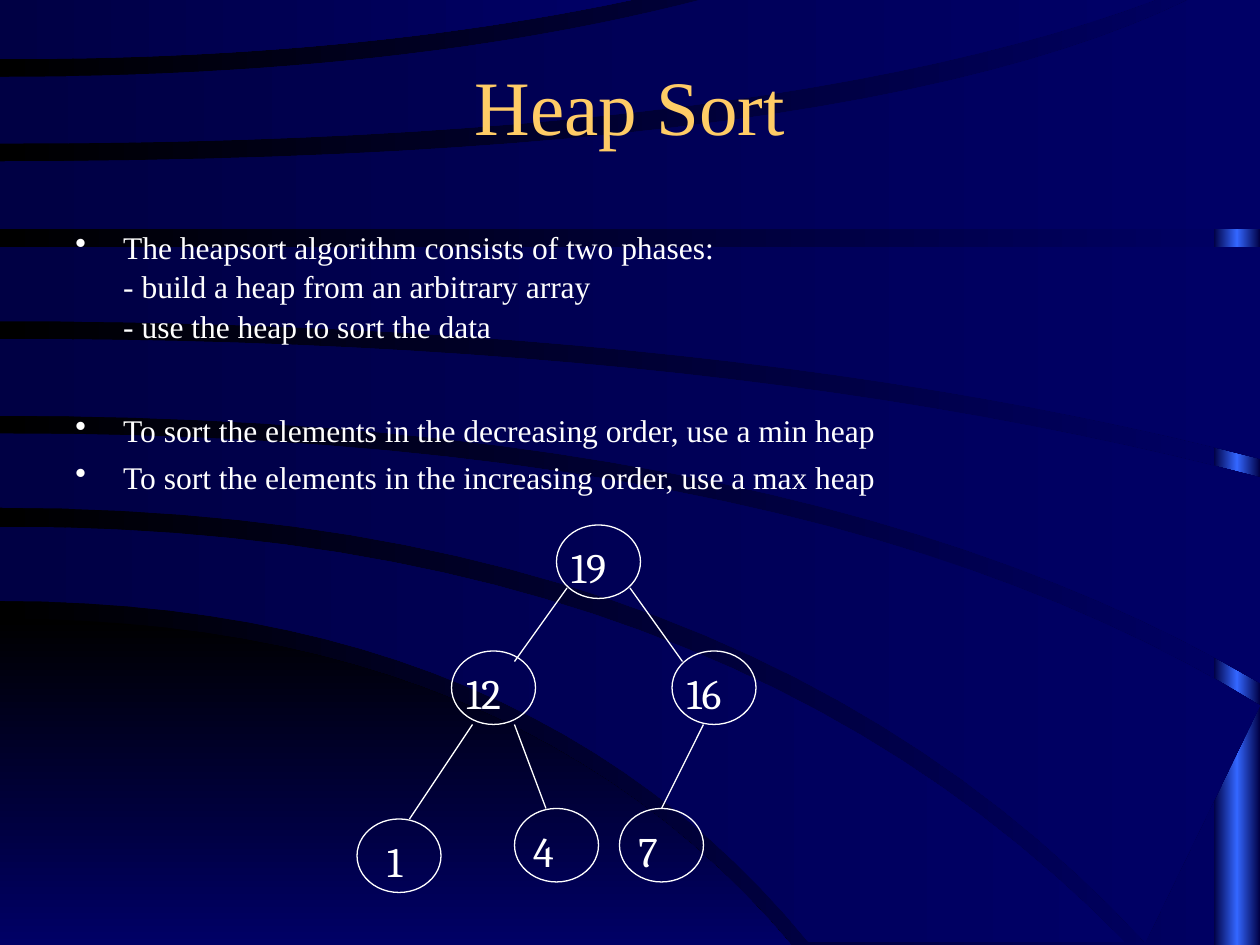
from collections import namedtuple
from copy import deepcopy

from lxml.etree import SubElement
from pptx import Presentation
from pptx.dml.color import RGBColor as Rgb
from pptx.enum.shapes import MSO_CONNECTOR as Line, MSO_SHAPE as Preset
from pptx.enum.text import MSO_ANCHOR as Anchor, PP_ALIGN as Align
from pptx.oxml.ns import qn
from pptx.util import Emu, Inches, Pt

CELL = Inches(1) // 12
Box = namedtuple("Box", "col row cols rows")
Edge = namedtuple("Edge", "start pull end_x end_y")
PAGE = Box(0, 0, 120, 90)
ARC_COLS, ARC_ROWS = 100, 75

COLORS = {"black": "000000", "navy": "000066", "dusk": "000044",
          "glow": "3366FF", "gold": "FFCC66", "white": "FFFFFF"}
TITLE = {"size": Pt(44), "name": "Times New Roman", "color": "gold"}
BODY = {"size": Pt(18), "name": "Times New Roman", "color": "white"}
LABEL = {"size": Pt(24), "name": "Cambria", "color": "white"}

DOME = Edge(49.1, 41, 62.8, 75), Edge(75, 31, 62.8, 75)
BANDS = [
    (Edge(41.8, 57, 89.3, 74.8), Edge(47.7, 42, 64.2, 74.8)),
    (Edge(34.4, 65, 100, 56), Edge(40.3, 59, 90.9, 74.8)),
    (Edge(26.9, 58, 100, 37.9), Edge(33, 64, 100, 54.2)),
    (Edge(19.6, 50, 100, 19.6), Edge(25.5, 58, 100, 36.4)),
    (Edge(12.8, 68, 94.3, 0), Edge(18.2, 50, 100, 18.2)),
    (Edge(6.1, 32, 55.6, 0), Edge(11.4, 61, 91.7, 0)),
    (Edge(0, 25, 50.1, 0), Edge(4.7, 28, 50.1, 0)),
]

POINTS = [
    ("The heapsort algorithm consists of two phases:\v"
     "- build a heap from an arbitrary array\v- use the heap to sort the data", 0),
    ("To sort the elements in the decreasing order, use a min heap", 37),
    ("To sort the elements in the increasing order, use a max heap", 4.5),
]
NODES = [("19", 19, 0, 0.2), ("12", 9, 12, 0.2), ("16", 30, 12, 0.2),
         ("4", 15, 27, 0.6), ("1", 0, 28, 1.7), ("7", 25, 27, 0.6)]
BRANCHES = [((20, 6), (15, 13)), ((11, 19), (5, 28)), ((15, 19), (18, 27)),
            ((26, 6), (31, 13)), ((33, 19), (29, 27))]


def rgb(name):
    """Look up a palette colour."""
    return Rgb.from_string(COLORS[name])


def emu(*cells):
    """Turn grid cells into slide lengths."""
    return [Emu(round(cell * CELL)) for cell in cells]


def shade(fill, names, angle=0):
    """Fill with evenly spaced gradient stops."""
    fill.gradient()
    fill.gradient_angle = angle
    first = fill.gradient_stops[0]._gs
    for _ in names[2:]:
        first.addnext(deepcopy(first))
    for index, (stop, name) in enumerate(zip(fill.gradient_stops, names)):
        stop.color.rgb = rgb(name)
        stop.position = index / (len(names) - 1)


def sweep(edge, steps=24):
    """List the points of a curve that leaves the left side level."""
    shares = [step / steps for step in range(steps + 1)]
    return [(2 * edge.pull * t * (1 - t) + edge.end_x * t ** 2,
             edge.start + (edge.end_y - edge.start) * t ** 2) for t in shares]


def draw_arc(slide, box, edges, names, angle=0):
    """Draw the area between an upper and a lower edge."""
    upper, lower = edges
    corner = max(upper.end_x, lower.end_x), min(upper.end_y, lower.end_y)
    outline = [emu(box.col + x * box.cols / ARC_COLS, box.row + y * box.rows / ARC_ROWS)
               for x, y in [*sweep(upper), corner, *reversed(sweep(lower))]]
    builder = slide.shapes.build_freeform(*outline[0])
    builder.add_line_segments(outline[1:])
    arc = builder.convert_to_shape()
    arc.shadow.inherit = False
    arc.line.fill.background()
    shade(arc.fill, names, angle)


def draw_backdrop(slide, box):
    """Paint the background, the glowing edge and the sweeping bands."""
    shade(slide.background.fill, ["black", "navy"])
    strip = 4.4
    edge = slide.shapes.add_shape(
        Preset.RECTANGLE, *emu(box.col + box.cols - strip, box.row, strip, box.rows))
    edge.shadow.inherit = False
    edge.line.fill.background()
    shade(edge.fill, ["dusk", "glow", "dusk"])
    draw_arc(slide, box, DOME, ["black", "navy"], 270)
    for band in BANDS:
        draw_arc(slide, box, band, ["dusk", "navy"])


def add_text(slide, box, texts, style, frame_format, paragraph_format):
    """Place a text box and return its paragraphs."""
    frame = slide.shapes.add_textbox(*emu(*box)).text_frame
    for key, value in frame_format.items():
        setattr(frame, key, value)
    frame.text = "\n".join(texts)
    for paragraph in frame.paragraphs:
        for key, value in paragraph_format.items():
            setattr(paragraph, key, value)
        for run in paragraph.runs:
            run.font.color.rgb = rgb(style["color"])
            for key in ("size", "name"):
                setattr(run.font, key, style[key])
    return frame.paragraphs


def draw_title(slide, box):
    """Place the centred heading."""
    add_text(slide, box, ["Heap Sort"], TITLE,
             {"word_wrap": True, "vertical_anchor": Anchor.MIDDLE},
             {"alignment": Align.CENTER})


def draw_points(slide, box):
    """Place the bulleted explanation."""
    paragraphs = add_text(slide, box, [text for text, _ in POINTS], BODY,
                          {"word_wrap": True}, {"line_spacing": 1.04})
    indent = Inches(0.38)
    for paragraph, (_, gap) in zip(paragraphs, POINTS):
        paragraph.space_before = Pt(gap)
        properties = paragraph._p.get_or_add_pPr()
        properties.set("marL", str(indent))
        properties.set("indent", str(-indent))
        SubElement(properties, qn("a:buChar"), char="•")


def draw_tree(slide, box):
    """Draw the heap as labelled circles joined by branches."""
    for value, col, row, inset in NODES:
        left, top = box.col + col, box.row + row
        circle = slide.shapes.add_shape(Preset.OVAL, *emu(left, top, 8, 7))
        circle.shadow.inherit = False
        circle.fill.background()
        circle.line.color.rgb = rgb("white")
        circle.line.width = Pt(0.75)
        label = Box(left + inset, top + 1, 2.3 * (len(value) + 1), 6)
        add_text(slide, label, [value], LABEL, {"word_wrap": False}, {})
    for ends in BRANCHES:
        start, end = [emu(box.col + col, box.row + row) for col, row in ends]
        branch = slide.shapes.add_connector(Line.STRAIGHT, *start, *end)
        branch.line.color.rgb = rgb("white")
        branch.line.width = Pt(0.75)
        SubElement(branch._element.spPr, qn("a:effectLst"))


def main():
    """Build the heap sort slide."""
    deck = Presentation()
    deck.slide_width, deck.slide_height = emu(PAGE.cols, PAGE.rows)
    slide = deck.slides.add_slide(deck.slide_layouts[6])
    draw_backdrop(slide, PAGE)
    draw_title(slide, Box(4, 5, 112, 10))
    draw_points(slide, Box(6, 21, 108, 65))
    draw_tree(slide, Box(34, 50, 38, 35))
    deck.save("out.pptx")


if __name__ == "__main__":
    main()
